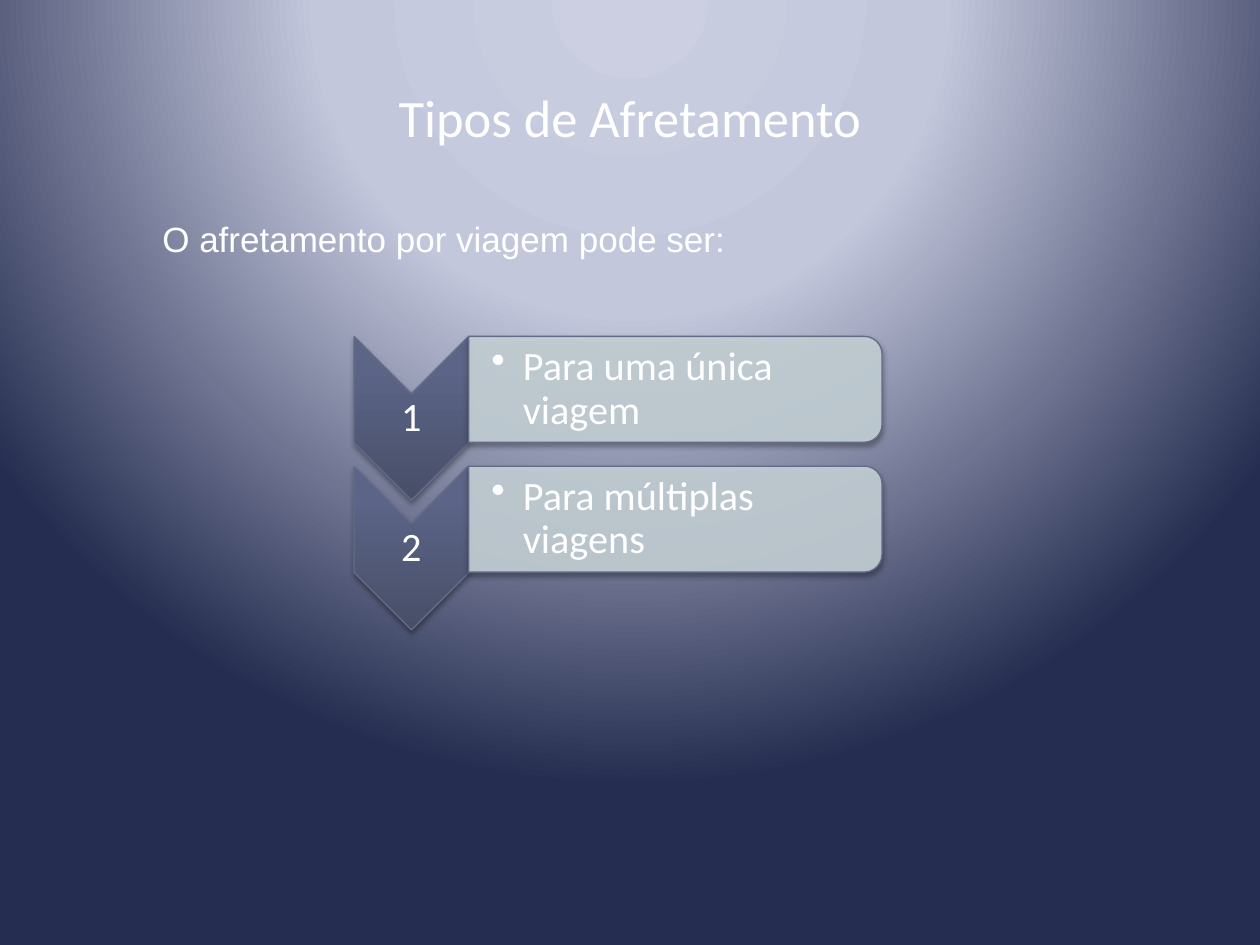
from lxml.etree import SubElement
from pptx import Presentation
from pptx.dml.color import RGBColor
from pptx.enum.shapes import MSO_SHAPE
from pptx.enum.text import MSO_ANCHOR, MSO_AUTO_SIZE, PP_ALIGN
from pptx.oxml import parse_xml
from pptx.oxml.ns import nsdecls, qn
from pptx.util import Inches, Pt

COLORS = {
    "text": "FFFFFF", "line": "646B86", "panel": "C5D1D7", "shadow": "000000",
    "bg_light": "CBCFE1", "bg_mid": "C3C7DC", "bg_dark": "252D50",
    "chevron_dark": "474E68", "chevron_mid": "5C6587", "chevron_light": "5C6588",
}


def gradient(stops, shade):
    """Return gradient fill XML for (percent, colour name) stops."""
    gs = "".join(f'<a:gs pos="{pos * 1000}"><a:srgbClr val="{COLORS[name]}"/></a:gs>'
                 for pos, name in stops)
    return (f'<a:gradFill {nsdecls("a")} rotWithShape="0">'
            f'<a:gsLst>{gs}</a:gsLst>{shade}</a:gradFill>')


def add_background(s):
    """Fill the slide with a circular gradient centred above its top edge."""
    fill = gradient([(0, "bg_light"), (40, "bg_mid"), (100, "bg_dark")],
                    '<a:path path="circle"><a:fillToRect l="50000" t="-80000" '
                    'r="50000" b="180000"/></a:path>')
    s.element.cSld.insert(0, parse_xml(
        f'<p:bg {nsdecls("p", "a")}><p:bgPr>{fill}<a:effectLst/></p:bgPr></p:bg>'))


def add_text(s, text, box, size, font="Calibri", align=PP_ALIGN.LEFT, inset=None,
             margin=0, indent=0, bullet=None, spacing=None, after=0, wrap=True):
    """Add a vertically centred text box with one formatted paragraph."""
    sp = s.shapes.add_textbox(*map(Inches, box))
    tf = sp.text_frame
    tf.word_wrap = wrap
    tf.auto_size = MSO_AUTO_SIZE.NONE if wrap else MSO_AUTO_SIZE.SHAPE_TO_FIT_TEXT
    tf.vertical_anchor = MSO_ANCHOR.MIDDLE
    if inset is not None:
        tf.margin_left = Inches(inset)
        tf.margin_top = tf.margin_right = tf.margin_bottom = Inches(0.02)
    p = tf.paragraphs[0]
    p.alignment = align
    p.line_spacing = spacing
    p.space_after = Pt(after)
    pPr = p._p.get_or_add_pPr()
    pPr.set("marL", str(Inches(margin)))
    pPr.set("indent", str(Inches(indent)))
    if bullet:
        SubElement(pPr, qn("a:buChar")).set("char", bullet)
    r = p.add_run()
    r.text = text
    r.font.size = Pt(size)
    r.font.name = font
    r.font.color.rgb = RGBColor.from_string(COLORS["text"])


def add_turned_shape(s, kind, box):
    """Add an outlined, shadowed shape turned a quarter so that it covers the box."""
    left, top, width, height = box
    shift = (width - height) / 2
    sp = s.shapes.add_shape(kind, Inches(left + shift), Inches(top - shift),
                            Inches(height), Inches(width))
    sp.rotation = 90
    sp.line.color.rgb = RGBColor.from_string(COLORS["line"])
    sp.line.width = Pt(0.75)
    sp.shadow.inherit = False
    effects = sp._element.spPr.find(qn("a:effectLst"))
    effects.append(parse_xml(
        f'<a:outerShdw {nsdecls("a")} blurRad="{Pt(3.1)}" dist="{Pt(1.8)}" '
        f'dir="5400000" rotWithShape="0"><a:srgbClr val="{COLORS["shadow"]}">'
        '<a:alpha val="35000"/></a:srgbClr></a:outerShdw>'))
    return sp


def add_step(s, number, text, box):
    """Add a numbered chevron with its text panel to the right."""
    left, top, width, height = box
    chevron_w, panel_h = 0.91, 0.84
    panel_left, panel_w = left + chevron_w, width - chevron_w

    chevron = add_turned_shape(s, MSO_SHAPE.CHEVRON, (left, top, chevron_w, height))
    chevron.fill.background()
    spPr = chevron._element.spPr
    spPr.replace(spPr.find(qn("a:noFill")), parse_xml(gradient(
        [(0, "chevron_dark"), (80, "chevron_mid"), (100, "chevron_light")],
        '<a:lin ang="16200000" scaled="0"/>')))
    add_text(s, number, (left, top + chevron_w / 2, chevron_w, height - chevron_w), 23,
             align=PP_ALIGN.CENTER, inset=0.02, spacing=0.9, after=8)

    panel = add_turned_shape(s, MSO_SHAPE.ROUND_2_SAME_RECTANGLE,
                             (panel_left, top, panel_w, panel_h))
    panel.fill.solid()
    panel.fill.fore_color.rgb = RGBColor.from_string(COLORS["panel"])
    color = panel._element.spPr.find(qn("a:solidFill"))[0]
    SubElement(color, qn("a:alpha")).set("val", "90000")
    add_text(s, text, (panel_left, top + 0.04, panel_w - 0.04, panel_h - 0.08), 23,
             inset=0.18, margin=0.25, indent=-0.25, bullet="•", spacing=0.9, after=3.5)


def add_steps(s, steps, box, pitch):
    """Stack numbered steps downwards from the given first box."""
    left, top, width, height = box
    for i, text in enumerate(steps):
        add_step(s, str(i + 1), text, (left, top + i * pitch, width, height))


def main():
    """Build and save the slide."""
    prs = Presentation()
    prs.slide_width, prs.slide_height = Inches(10), Inches(7.5)
    s = prs.slides.add_slide(prs.slide_layouts[6])
    add_background(s)
    add_text(s, "Tipos de Afretamento", (0.5, 0.3, 9, 1.25), 30, align=PP_ALIGN.CENTER)
    add_steps(s, ["Para uma única viagem", "Para múltiplas viagens"],
              (2.81, 2.67, 4.19, 1.3), 1.03)
    add_text(s, "O afretamento por viagem pode ser:", (0.7, 1.67, 5.2, 0.44), 20,
             font="Arial", align=PP_ALIGN.JUSTIFY, indent=0.49, wrap=False)
    prs.save("out.pptx")


if __name__ == "__main__":
    main()
